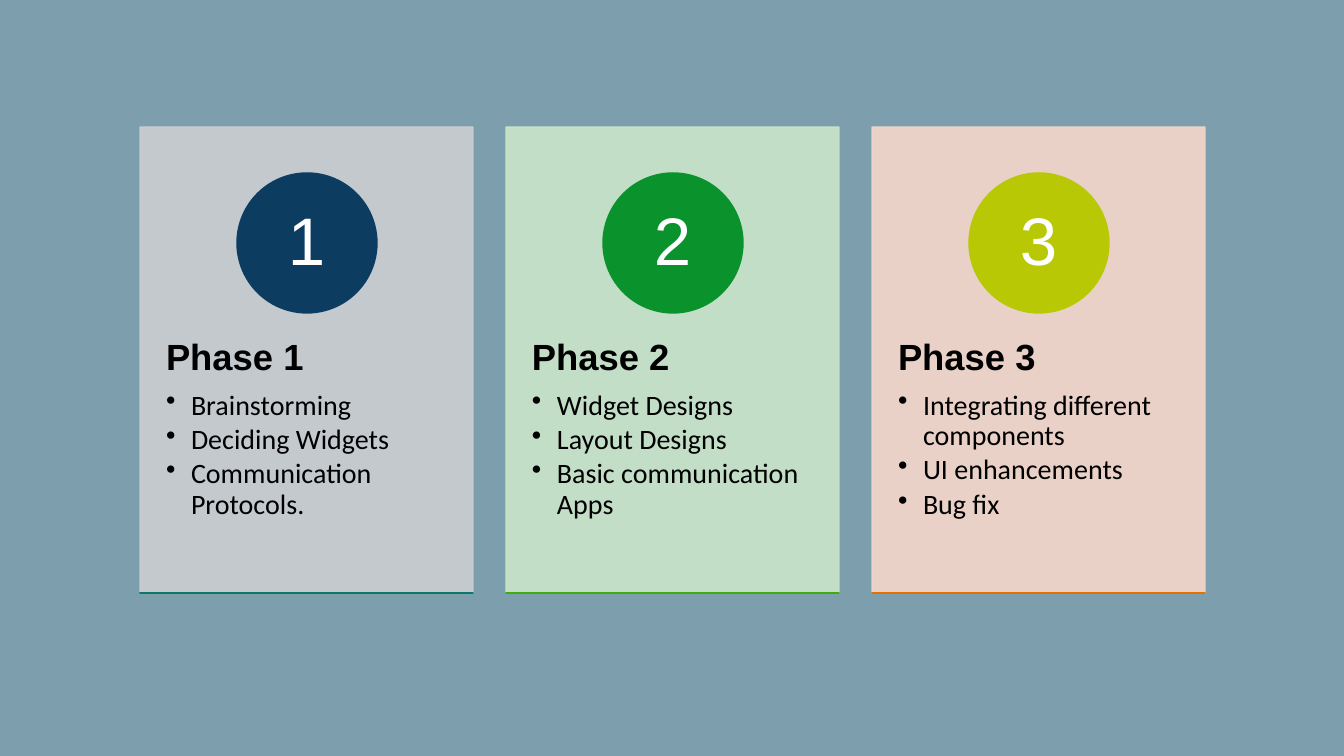
from lxml import etree
from pptx import Presentation
from pptx import util as u
from pptx.dml.color import RGBColor
from pptx.enum import shapes, text
from pptx.oxml.ns import qn

PX = 914400 / 100.8
BACK = RGBColor(0x7D, 0x9E, 0xAD)
BLACK = RGBColor(0, 0, 0)
WHITE = RGBColor(0xFF, 0xFF, 0xFF)
GREY = RGBColor(0xCC, 0xCE, 0xD2)
MINT = RGBColor(0xCB, 0xE6, 0xCA)
PEACH = RGBColor(0xF5, 0xD7, 0xCC)
NAVY = RGBColor(0x0C, 0x3D, 0x60)
GREEN = RGBColor(0x0A, 0x92, 0x2C)
LIME = RGBColor(0xB8, 0xC8, 0x05)
TEAL = RGBColor(0x0C, 0x78, 0x66)
LEAF = RGBColor(0x3F, 0xAD, 0x08)
ORANGE = RGBColor(0xE5, 0x72, 0x00)

PHASES = [
    (GREY, NAVY, TEAL,
     ["Brainstorming", "Deciding Widgets", "Communication Protocols."]),
    (MINT, GREEN, LEAF,
     ["Widget Designs", "Layout Designs", "Basic communication Apps"]),
    (PEACH, LIME, ORANGE,
     ["Integrating different components", "UI enhancements", "Bug fix"]),
]
LEFT, STEP, WIDE = 140, 366, 333

deck = Presentation()
deck.slide_width, deck.slide_height = u.Inches(13.333), u.Inches(7.5)
slide = deck.slides.add_slide(deck.slide_layouts[6])
slide.background.fill.solid()
slide.background.fill.fore_color.rgb = BACK


def add_box(kind, box, color=None):
    place = [round(n * PX) for n in box]
    if color is None:
        item = slide.shapes.add_textbox(*place)
        item.text_frame.word_wrap = True
        return item
    item = slide.shapes.add_shape(kind, *place)
    item.shadow.inherit = False
    item.fill.solid()
    item.fill.fore_color.rgb = color
    item.line.color.rgb = color
    item.line.width = u.Pt(1)
    return item


def style(para, size, color, font, after, bold=False):
    para.line_spacing = 0.9
    para.space_after = u.Pt(after)
    for run in para.runs:
        run.font.size = u.Pt(size)
        run.font.name = font
        run.font.bold = bold
        run.font.color.rgb = color


RECT, OVAL = shapes.MSO_SHAPE.RECTANGLE, shapes.MSO_SHAPE.OVAL
for i, (tint, disc, edge, tasks) in enumerate(PHASES):
    x = LEFT + i * STEP
    card = add_box(RECT, (x, 127, WIDE, 466), tint)
    for clr in card._element.spPr.iter(qn("a:srgbClr")):
        etree.SubElement(clr, qn("a:alpha"), val="90000")

    body = add_box(None, (x, 303, WIDE, 279)).text_frame
    body.margin_left = body.margin_right = round(26 * PX)
    body.margin_top = body.margin_bottom = round(36 * PX)
    body.text = "\n".join([f"Phase {i + 1}"] + tasks)
    head, *items = body.paragraphs
    style(head, 26, BLACK, "Arial", 9, True)
    for item in items:
        item.level = 1
        style(item, 20, BLACK, "Calibri", 3)
        props = item._p.get_or_add_pPr()
        props.set("marL", str(round(25 * PX)))
        props.set("indent", str(round(-25 * PX)))
        etree.SubElement(props, qn("a:buChar"), char="•")

    add_box(OVAL, (x + 97, 173, 140, 140), disc)
    count = add_box(None, (x + 117, 194, 99, 99)).text_frame
    count.margin_left = count.margin_right = round(11 * PX)
    count.margin_top = count.margin_bottom = round(PX)
    count.vertical_anchor = text.MSO_ANCHOR.MIDDLE
    count.text = str(i + 1)
    count.paragraphs[0].alignment = text.PP_ALIGN.CENTER
    style(count.paragraphs[0], 48, WHITE, "Arial", 17)

    add_box(RECT, (x, 593, WIDE, 0), edge)

deck.save("out.pptx")
